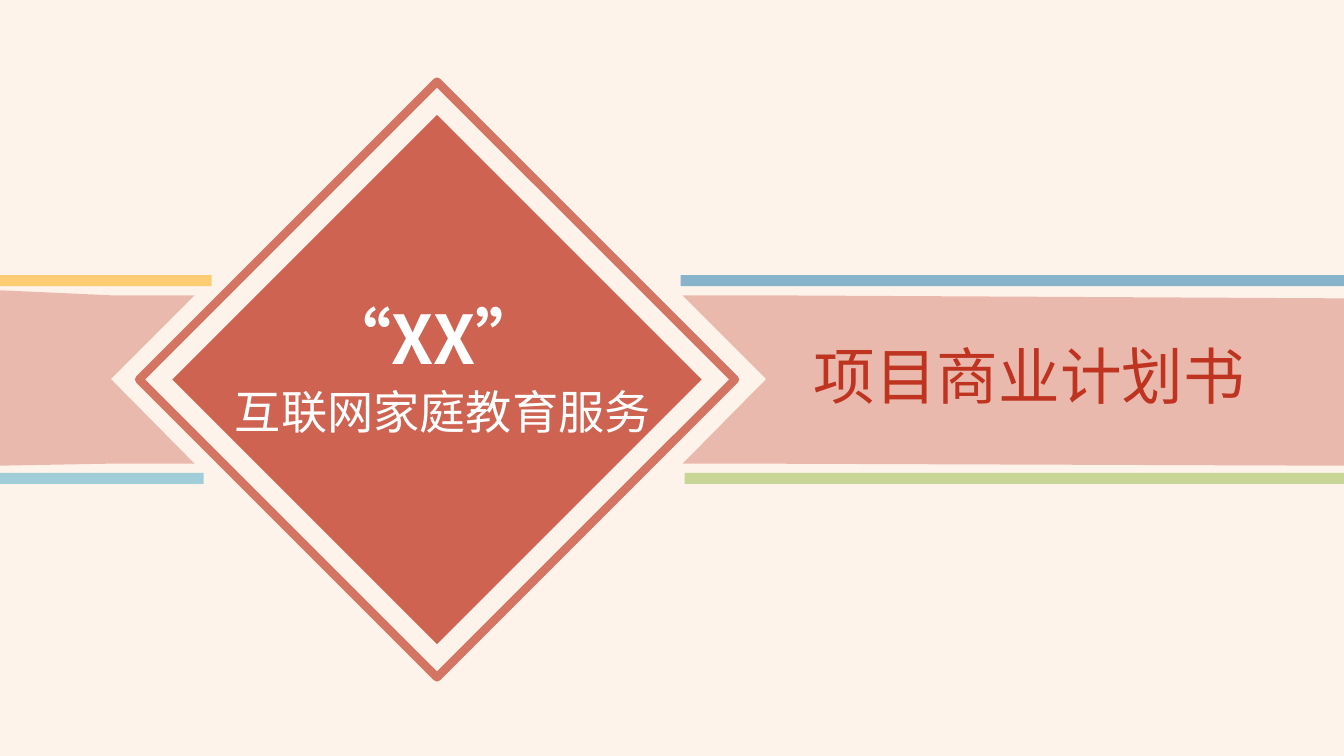
import lxml.etree
import pptx
import pptx.dml.color
import pptx.enum.shapes
import pptx.enum.text
import pptx.oxml.ns
import pptx.util

Inches = pptx.util.Inches
Pt = pptx.util.Pt
qn = pptx.oxml.ns.qn
SHAPES = pptx.enum.shapes.MSO_SHAPE
ALIGN = pptx.enum.text.PP_ALIGN

WIDTH, HEIGHT = 13.33, 7.5
RED, WHITE, CREAM = "BF3420", "FFFFFF", "FEF3EA"


def color(hex_text):
    return pptx.dml.color.RGBColor.from_string(hex_text)


def apply(target, values):
    for name, value in values.items():
        setattr(target, name, value)


class CoverSlide:
    font = "Noto Sans CJK SC"
    frame_format = {
        "margin_left": Inches(0.14),
        "margin_right": Inches(0.14),
        "margin_top": Inches(0.07),
        "margin_bottom": Inches(0.07),
        "vertical_anchor": pptx.enum.text.MSO_ANCHOR.TOP,
        "auto_size": pptx.enum.text.MSO_AUTO_SIZE.SHAPE_TO_FIT_TEXT,
    }

    def __init__(self, presentation):
        self.slide = presentation.slides.add_slide(presentation.slide_layouts[5])
        fill = self.slide.background.fill
        fill.solid()
        fill.fore_color.rgb = color(CREAM)

    def set_opacity(self, shape, percent):
        for element in shape.element.spPr.iter(qn("a:srgbClr")):
            alpha = lxml.etree.SubElement(element, qn("a:alpha"))
            alpha.set("val", str(percent * 1000))

    def fill_shape(self, shape, hex_text, opacity):
        shape.shadow.inherit = False
        shape.fill.solid()
        shape.fill.fore_color.rgb = color(hex_text)
        shape.line.fill.background()
        self.set_opacity(shape, opacity)

    def block(self, preset, box, hex_text, opacity):
        shape = self.slide.shapes.add_shape(preset, *map(Inches, box))
        self.fill_shape(shape, hex_text, opacity)

    def outline(self, preset, box, hex_text, opacity, width):
        shape = self.slide.shapes.add_shape(preset, *map(Inches, box))
        shape.shadow.inherit = False
        shape.fill.background()
        shape.line.color.rgb = color(hex_text)
        shape.line.width = Pt(width)
        lxml.etree.SubElement(shape.element.spPr.find(qn("a:ln")), qn("a:round"))
        self.set_opacity(shape, opacity)

    def ribbon(self, points, hex_text, opacity):
        corners = [(Inches(x), Inches(y)) for x, y in points]
        builder = self.slide.shapes.build_freeform(*corners[0])
        builder.add_line_segments(corners[1:], close=True)
        self.fill_shape(builder.convert_to_shape(), hex_text, opacity)

    def set_text(self, shape, text, size, hex_text, align=ALIGN.LEFT, bold=False, wrap=False):
        frame = shape.text_frame
        apply(frame, {**self.frame_format, "word_wrap": wrap})
        paragraph = frame.paragraphs[0]
        paragraph.alignment = align
        run = paragraph.add_run()
        run.text = text
        apply(run.font, {"size": Pt(size), "bold": bold, "name": self.font})
        run.font.color.rgb = color(hex_text)
        east_asian = lxml.etree.Element(qn("a:ea"))
        east_asian.set("typeface", self.font)
        next(shape.element.iter(qn("a:latin"))).addnext(east_asian)

    def text(self, box, *content, **options):
        shape = self.slide.shapes.add_textbox(*map(Inches, box))
        self.set_text(shape, *content, **options)
        return shape

    def title(self, box, *content):
        shape = self.slide.shapes.title
        apply(shape, dict(zip(("left", "top", "width", "height"), map(Inches, box))))
        shape.element.getparent().append(shape.element)
        self.set_text(shape, *content)

    def text_shadow(self, shape):
        effects = lxml.etree.Element(qn("a:effectLst"))
        shadow = lxml.etree.SubElement(effects, qn("a:outerShdw"))
        for name, value in {"blurRad": 38100, "dist": 38100, "dir": 2700000}.items():
            shadow.set(name, str(value))
        tint = lxml.etree.SubElement(shadow, qn("a:srgbClr"))
        tint.set("val", "000000")
        lxml.etree.SubElement(tint, qn("a:alpha")).set("val", "43000")
        properties = next(shape.element.iter(qn("a:rPr")))
        properties.find(qn("a:solidFill")).addnext(effects)


def main():
    presentation = pptx.Presentation()
    apply(presentation, {"slide_width": Inches(WIDTH), "slide_height": Inches(HEIGHT)})
    cover = CoverSlide(presentation)

    cover.block(SHAPES.DIAMOND, (1.71, 1.14, 5.25, 5.25), RED, 75)
    cover.outline(SHAPES.DIAMOND, (1.38, 0.81, 5.91, 5.91), RED, 65, 6)

    ribbons = [
        [(1.93, 2.93), (1.1, 2.93), (0, 2.88), (0, 4.62), (1.1, 4.6), (1.93, 4.6), (1.1, 3.76)],
        [(6.77, 2.93), (7.6, 2.93), (WIDTH, 2.96), (WIDTH, 4.62), (7.6, 4.6), (6.77, 4.6), (7.6, 3.76)],
    ]
    for points in ribbons:
        cover.ribbon(points, RED, 30)

    stripes = [
        (0, 2.1, 2.73, "FDA907"),
        (6.75, WIDTH, 2.73, "1A7BAE"),
        (0, 2.02, 4.69, "4BACC6"),
        (6.79, WIDTH, 4.69, "95BC49"),
    ]
    for left, right, top, hex_text in stripes:
        cover.block(SHAPES.RECTANGLE, (left, top, right - left, 0.11), hex_text, 52)

    name = cover.text((2.2, 2.88, 4.2, 0.95), "“XX”", 48, WHITE,
                      align=ALIGN.CENTER, bold=True, wrap=True)
    cover.text_shadow(name)
    cover.text((2.19, 3.73, 4.44, 0.69), "互联网家庭教育服务", 33, WHITE)
    cover.title((7.93, 3.28, 4.6, 0.88), "项目商业计划书", 44, RED)

    presentation.save("out.pptx")


if __name__ == "__main__":
    main()
